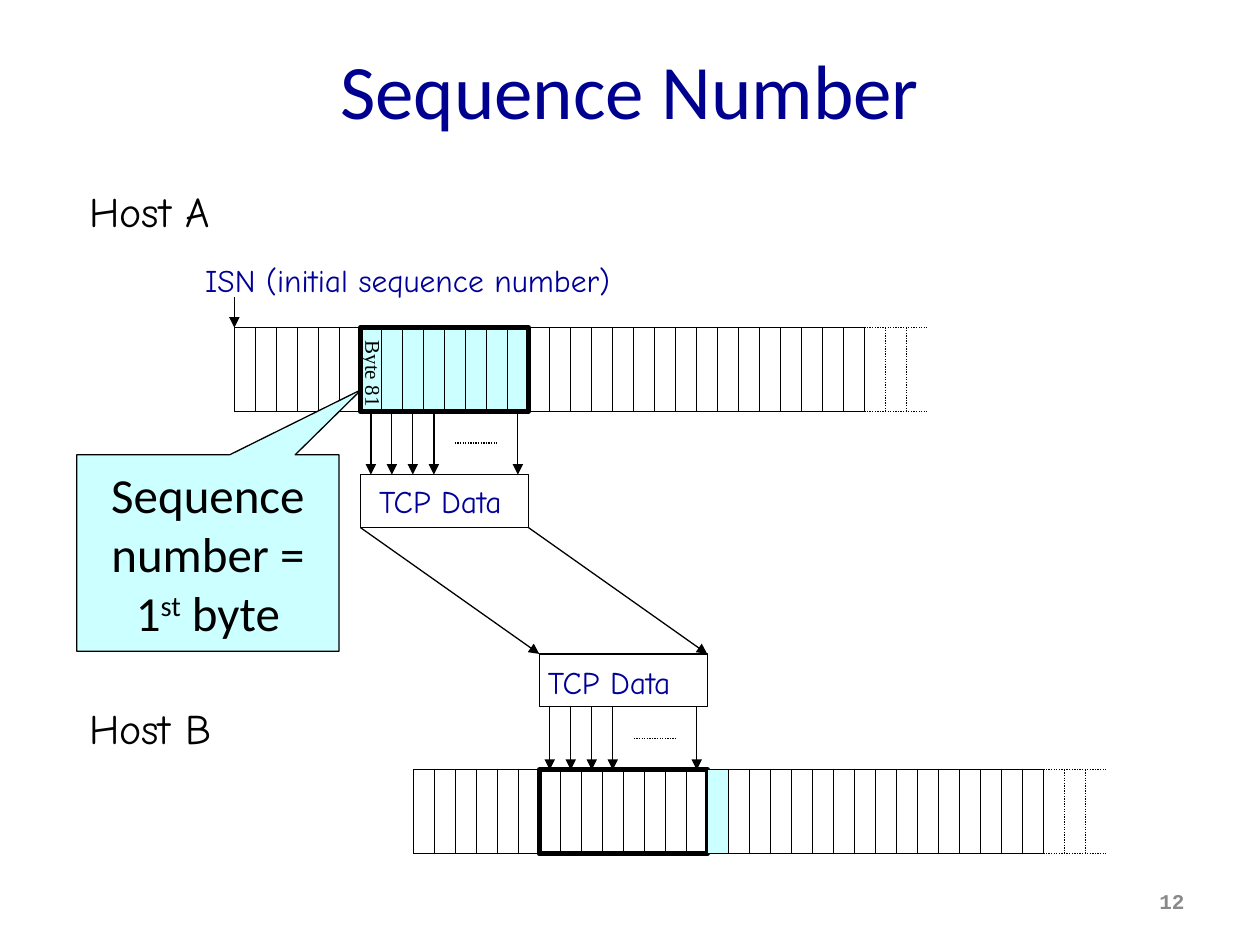
from lxml import etree
from pptx import Presentation
from pptx.dml.color import RGBColor
from pptx.enum.dml import MSO_LINE
from pptx.enum.shapes import MSO_CONNECTOR, MSO_SHAPE
from pptx.enum.text import MSO_ANCHOR, PP_ALIGN
from pptx.oxml.ns import qn
from pptx.util import Inches, Pt

STRAIGHT = MSO_CONNECTOR.STRAIGHT
DOT = MSO_LINE.ROUND_DOT
RECT, CALLOUT = MSO_SHAPE.RECTANGLE, MSO_SHAPE.RECTANGULAR_CALLOUT
TOP, MIDDLE = MSO_ANCHOR.TOP, MSO_ANCHOR.MIDDLE
LEFT, CENTER, RIGHT = PP_ALIGN.LEFT, PP_ALIGN.CENTER, PP_ALIGN.RIGHT

BLACK = RGBColor(0x00, 0x00, 0x00)
WHITE = RGBColor(0xFF, 0xFF, 0xFF)
CYAN = RGBColor(0xCC, 0xFF, 0xFF)
NAVY = RGBColor(0x00, 0x00, 0x90)
BLUE = RGBColor(0x00, 0x00, 0x99)
GRAY = RGBColor(0x89, 0x89, 0x89)

SANS, HAND, SERIF, MONO = "Calibri", "Comic Neue", "Times New Roman", "Courier New"

# Byte strips: 30 whole cells, then 3 dotted ones; a segment covers 8 cells
CELL = 1 / 6
WHOLE, MORE = 30, 3
FIRST, COUNT = 6, 8
STRIP = 4 * CELL
SEG = COUNT * CELL
SEND_X, SEND_Y = 1.86, 2.6
RECV_X, RECV_Y = 3.28, 6.11
PACK = 0.42
GAP = 0.5


class Sketch:
    def __init__(self, slide):
        self.shapes = slide.shapes

    def style(self, run, font, size, color, bold=False):
        run.font.name = font
        run.font.size = Pt(size)
        run.font.color.rgb = color
        run.font.bold = bold

    def text(self, words, x, y, w, h, font, size, color,
             align=LEFT, anchor=TOP, wrap=False, bold=False):
        box = self.shapes.add_textbox(Inches(x), Inches(y), Inches(w), Inches(h))
        frame = box.text_frame
        frame.text = words
        frame.word_wrap = wrap
        frame.vertical_anchor = anchor
        para = frame.paragraphs[0]
        para.alignment = align
        self.style(para.runs[0], font, size, color, bold)
        return box

    def shape(self, x, y, w, h, fill=None, width=0.75, kind=RECT):
        item = self.shapes.add_shape(kind, Inches(x), Inches(y), Inches(w), Inches(h))
        item.shadow.inherit = False
        if fill is None:
            item.fill.background()
        else:
            item.fill.solid()
            item.fill.fore_color.rgb = fill
        item.line.color.rgb = BLACK
        item.line.width = Pt(width)
        return item

    def line(self, x1, y1, x2, y2, dotted=False, arrow=False):
        item = self.shapes.add_connector(
            STRAIGHT, Inches(x1), Inches(y1), Inches(x2), Inches(y2))
        item.line.color.rgb = BLACK
        item.line.width = Pt(0.75)
        if dotted:
            item.line.dash_style = DOT
        if arrow:
            etree.SubElement(item.line._get_or_add_ln(), qn("a:tailEnd"), type="triangle")
        etree.SubElement(item._element.spPr, qn("a:effectLst"))

    def strip(self, x, y):
        end = x + WHOLE * CELL
        for edge in (y, y + STRIP):
            self.line(x, edge, end, edge)
            self.line(end, edge, end + MORE * CELL, edge, dotted=True)
        for i in range(WHOLE + MORE):
            pos = x + i * CELL
            self.line(pos, y, pos, y + STRIP, dotted=i > WHOLE)

    def flow(self, x, y):
        for i in (0, 1, 2, 3, COUNT - 1):
            pos = x + (i + 0.5) * CELL
            self.line(pos, y, pos, y + GAP, arrow=True)
        mid = y + GAP / 2
        self.line(x + 4.5 * CELL, mid, x + 6.5 * CELL, mid, dotted=True)


def main():
    deck = Presentation()
    deck.slide_width, deck.slide_height = Inches(10), Inches(7.5)
    art = Sketch(deck.slides.add_slide(deck.slide_layouts[6]))

    send = SEND_X + FIRST * CELL
    recv = RECV_X + FIRST * CELL
    pack_a = SEND_Y + STRIP + GAP
    pack_b = RECV_Y - GAP - PACK

    # Title and host names
    art.text("Sequence Number", 0.5, 0.08, 9, 1.25, SANS, 44, NAVY,
             CENTER, MIDDLE, wrap=True)
    art.text("Host A", 0.61, 1.42, 1.29, 0.5, HAND, 24, BLACK)
    art.text("Host B", 0.61, 5.53, 1.26, 0.5, HAND, 24, BLACK)

    # Byte strips, with the sent segment behind its cells
    art.shape(send, SEND_Y, SEG, STRIP, CYAN, 3)
    art.strip(SEND_X, SEND_Y)
    art.strip(RECV_X, RECV_Y)

    # Packets on their way from host A to host B
    art.shape(send, pack_a, SEG, PACK, WHITE)
    art.shape(recv, pack_b, SEG, PACK, WHITE)
    for side in (0, SEG):
        art.line(send + side, pack_a + PACK, recv + side, pack_b, arrow=True)
    art.flow(send, SEND_Y + STRIP)
    art.flow(recv, pack_b + PACK)
    for x, y in ((2.91, 3.78), (4.25, 5.21)):
        art.text("TCP Data", x, y, 1.28, 0.4, HAND, 18, BLUE)

    # Initial sequence number
    art.text("ISN (initial sequence number)", 1.53, 2.02, 3.68, 0.4, HAND, 18, BLUE)
    art.line(SEND_X, 2.36, SEND_X, SEND_Y, arrow=True)

    # Callout to the first byte
    note = art.shape(0.61, 3.61, 2.08, 1.56, CYAN, kind=CALLOUT)
    note.adjustments[0], note.adjustments[1] = 0.586, -0.832
    note.text_frame.word_wrap = True
    note.text_frame.vertical_anchor = MIDDLE
    para = note.text_frame.paragraphs[0]
    para.alignment = CENTER
    for words in ("Sequence number = 1", "st", " byte"):
        run = para.add_run()
        run.text = words
        art.style(run, SANS, 28, BLACK)
        if words == "st":
            run.font._element.set("baseline", "30000")

    # Received segment and the next byte
    art.shape(recv, RECV_Y, SEG, STRIP, width=3)
    art.shape(recv + SEG, RECV_Y, CELL, STRIP, CYAN)

    byte = art.text("Byte 81", 2.6, 2.82, 0.73, 0.3, SERIF, 12, BLACK)
    byte.rotation = 90

    # Page number
    art.text("12", 7.17, 6.95, 2.33, 0.4, MONO, 12, GRAY, RIGHT, MIDDLE,
             wrap=True, bold=True)

    deck.save("out.pptx")


if __name__ == "__main__":
    main()
